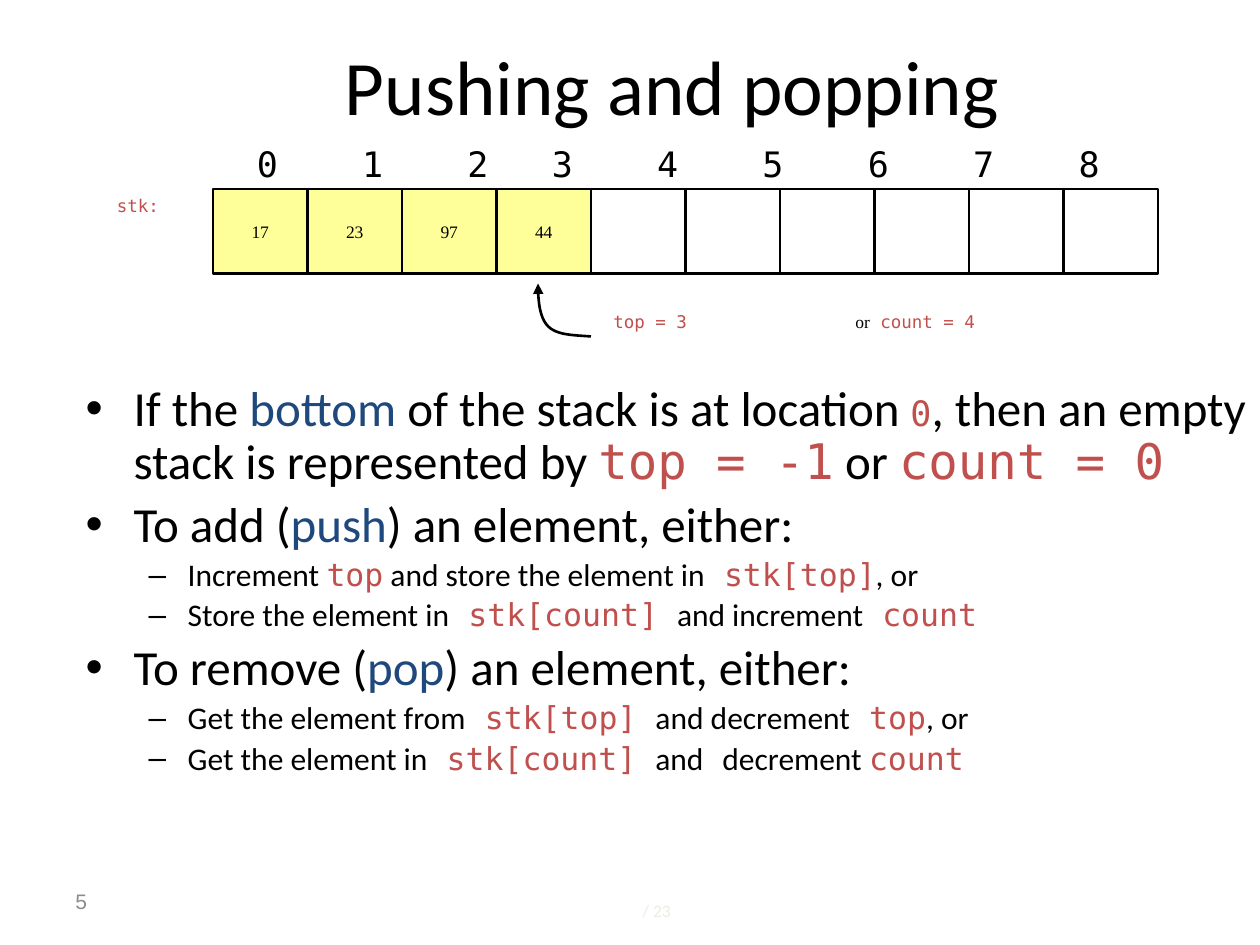
from lxml import etree
from pptx import Presentation
from pptx.dml.color import RGBColor
from pptx.enum.shapes import MSO_SHAPE
from pptx.enum.text import MSO_ANCHOR, MSO_AUTO_SIZE, PP_ALIGN
from pptx.oxml.ns import qn
from pptx.util import Inches, Pt

BLACK = RGBColor(0x00, 0x00, 0x00)
BLUE = RGBColor(0x1F, 0x49, 0x7D)
RED = RGBColor(0xC0, 0x50, 0x4D)
YELLOW = RGBColor(0xFF, 0xFF, 0x99)
GRAY = RGBColor(0x8C, 0x8C, 0x8C)
PALE = RGBColor(0xEE, 0xEC, 0xE1)
SANS = "Calibri"
SERIF = "Times New Roman"
MONO = "DejaVu Sans Mono"


def add_text(paragraph, text, size=10, font=SANS, color=BLACK):
    run = paragraph.add_run()
    run.text = text
    run.font.size = Pt(size)
    run.font.name = font
    run.font.color.rgb = color


def add_box(left, top, width, height, wrap=True, anchor=MSO_ANCHOR.TOP):
    box = slide.shapes.add_textbox(Inches(left), Inches(top), Inches(width), Inches(height))
    box.text_frame.word_wrap = wrap
    box.text_frame.vertical_anchor = anchor
    return box.text_frame.paragraphs[0]


presentation = Presentation()
presentation.slide_width = Inches(10)
presentation.slide_height = Inches(7.5)
slide = presentation.slides.add_slide(presentation.slide_layouts[1])

title = slide.shapes.title
title.left, title.top, title.width, title.height = map(Inches, (1.25, 0.17, 8.17, 1))
title.text_frame.vertical_anchor = MSO_ANCHOR.MIDDLE
title_paragraph = title.text_frame.paragraphs[0]
title_paragraph.alignment = PP_ALIGN.CENTER
add_text(title_paragraph, "Pushing and popping", size=44)

body = slide.placeholders[1]
body.left, body.top, body.width, body.height = map(Inches, (0.58, 3, 9.42, 3.58))
body.text_frame.auto_size = MSO_AUTO_SIZE.NONE

term = {"color": BLUE}
code = {"font": MONO, "color": RED}
LEVELS = [(28, 0.38, -0.38), (18, 0.81, -0.31)]
bullets = [
    (0, [("If the ", {}), ("bottom", term), (" of the stack is at location ", {}),
         ("0", {**code, "size": 20}), (", then an empty stack is represented by ", {}),
         ("top = -1", code), (" or ", {}), ("count = 0", code)]),
    (0, [("To add (", {}), ("push", term), (") an element, either:", {})]),
    (1, [("Increment ", {}), ("top", code), (" and store the element in", {}),
         (" stk[top]", code), (", or", {})]),
    (1, [("Store the element in", {}), (" stk[count] ", code),
         ("and increment", {}), (" count", code)]),
    (0, [("To remove (", {}), ("pop", term), (") an element, either:", {})]),
    (1, [("Get the element from", {}), (" stk[top] ", code),
         ("and decrement", {}), (" top", code), (", or", {})]),
    (1, [("Get the element in", {}), (" stk[count] ", code), ("and", {}), (" ", code),
         ("decrement ", {}), ("count", code)]),
]
for index, (level, runs) in enumerate(bullets):
    frame = body.text_frame
    paragraph = frame.add_paragraph() if index else frame.paragraphs[0]
    size, margin, indent = LEVELS[level]
    paragraph.level = level
    paragraph.line_spacing = 0.9
    paragraph.space_before = Pt(size * 0.2)
    properties = paragraph._p.get_or_add_pPr()
    properties.set("marL", str(Inches(margin)))
    properties.set("indent", str(Inches(indent)))
    for text, style in runs:
        add_text(paragraph, text, **{"size": size, **style})

CELL_LEFT, CELL_TOP, CELL_WIDTH, CELL_HEIGHT = 1.69, 1.5, 0.75, 0.67
values = ["17", "23", "97", "44"] + [""] * 6
for index, value in enumerate(values):
    cell = slide.shapes.add_shape(
        MSO_SHAPE.RECTANGLE, Inches(CELL_LEFT + index * CELL_WIDTH), Inches(CELL_TOP),
        Inches(CELL_WIDTH), Inches(CELL_HEIGHT))
    cell.shadow.inherit = False
    cell.line.color.rgb = BLACK
    cell.line.width = Pt(1.5)
    if value:
        cell.fill.solid()
        cell.fill.fore_color.rgb = YELLOW
        cell.text_frame.word_wrap = False
        cell.text_frame.vertical_anchor = MSO_ANCHOR.MIDDLE
        paragraph = cell.text_frame.paragraphs[0]
        paragraph.alignment = PP_ALIGN.CENTER
        add_text(paragraph, value, font=SERIF)
    else:
        cell.fill.background()

CHARACTER_WIDTH = 20 * 0.602 / 72
index_columns = [0, 5, 10, 14, 19, 24, 29, 34, 39]
index_row = add_box(1.94, 1.08, 7.67, 0.44)
tab_list = etree.SubElement(index_row._p.get_or_add_pPr(), qn("a:tabLst"))
for column in index_columns[1:]:
    position = Inches(column * CHARACTER_WIDTH)
    etree.SubElement(tab_list, qn("a:tab"), pos=str(position), algn="l")
add_text(index_row, "\t".join(str(i) for i in range(len(index_columns))), size=20, font=MONO)

add_text(add_box(0.83, 1.5, 0.94, 0.51, wrap=False), "stk:", **code)
add_text(add_box(4.77, 2.42, 1.83, 0.5), "top = 3", **code)
count_label = add_box(6.69, 2.42, 2.92, 0.5)
add_text(count_label, "or", font=SERIF)
add_text(count_label, " count = 4", **code)

curves = [
    [(4.69, 2.67), (4.55, 2.66), (4.42, 2.66), (4.35, 2.59)],
    [(4.35, 2.59), (4.28, 2.52), (4.27, 2.38), (4.27, 2.25)],
]
STEPS = 12
points = []
for curve in curves:
    for step in range(1, STEPS + 1):
        t = step / STEPS
        weights = [(1 - t) ** 3, 3 * t * (1 - t) ** 2, 3 * t ** 2 * (1 - t), t ** 3]
        points.append(tuple(
            Inches(sum(w * point[axis] for w, point in zip(weights, curve)))
            for axis in (0, 1)))
builder = slide.shapes.build_freeform(Inches(4.69), Inches(2.67))
builder.add_line_segments(points, close=False)
top_arrow = builder.convert_to_shape()
top_arrow.shadow.inherit = False
top_arrow.fill.background()
top_arrow.line.color.rgb = BLACK
top_arrow.line.width = Pt(1.5)
outline = top_arrow.element.spPr.find(qn("a:ln"))
etree.SubElement(outline, qn("a:tailEnd"), type="triangle", w="med", len="med")

slide_number = add_box(0.5, 6.95, 2.33, 0.4, anchor=MSO_ANCHOR.MIDDLE)
add_text(slide_number, "5", size=12, font="Arial", color=GRAY)
slide_total = add_box(5, 7.08, 0.6, 0.3, anchor=MSO_ANCHOR.MIDDLE)
add_text(slide_total, "/ 23", color=PALE)

presentation.save("out.pptx")
